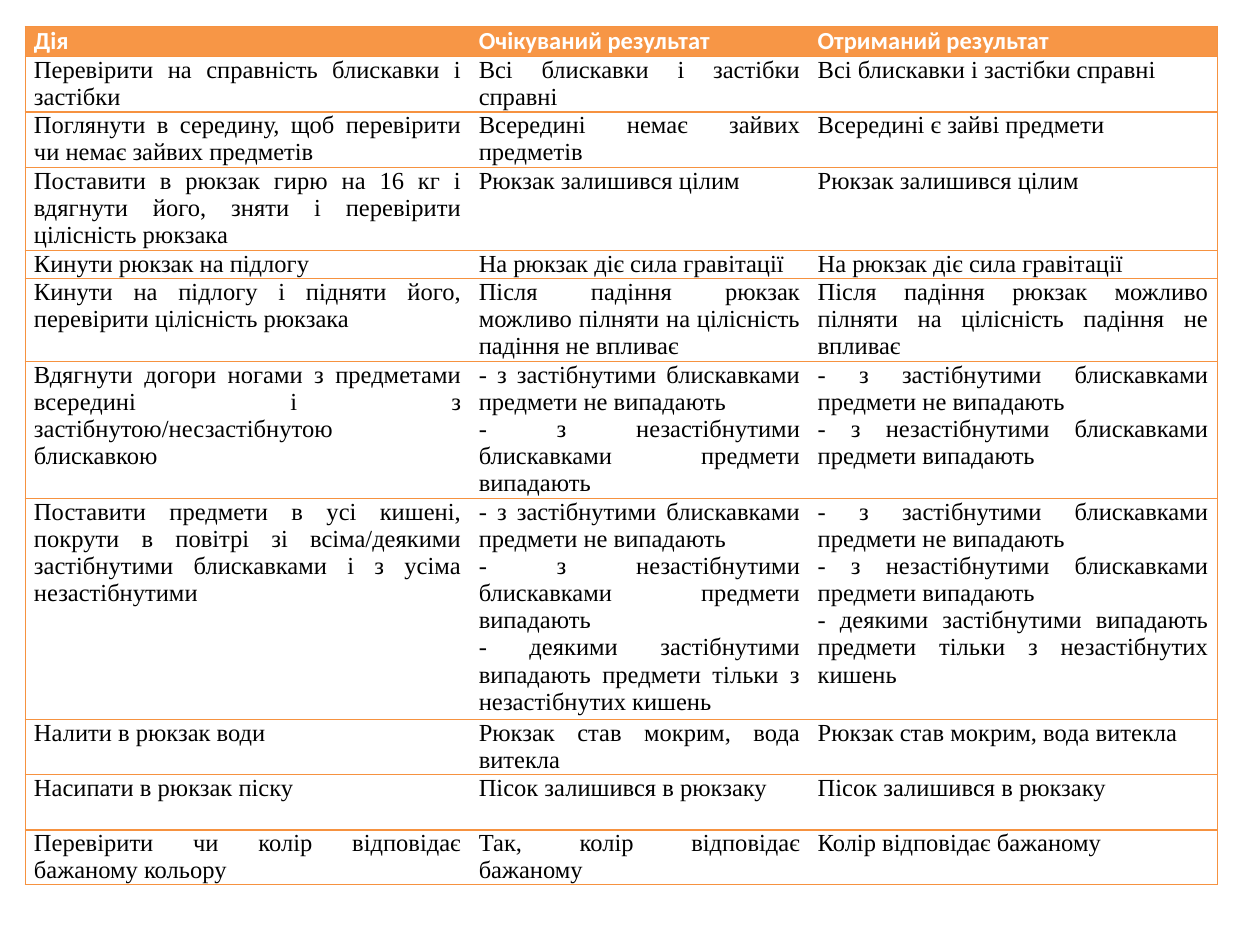
from dataclasses import dataclass

import pptx
import pptx.dml.color
import pptx.enum.text
import pptx.oxml
import pptx.oxml.ns
import pptx.util
from pptx.util import Inches

ORANGE = "F79646"
BORDER = "F69240"
WHITE = "FFFFFF"
BLACK = "000000"
COLUMN_WIDTHS = (3.53, 2.69, 3.24)
CLOSED = "- з застібнутими блискавками предмети не випадають"
OPEN = "- з незастібнутими блискавками предмети випадають"
PARTLY = "- деякими застібнутими випадають предмети тільки з незастібнутих кишень"


@dataclass
class Check:
    height: float
    action: str
    expected: str
    actual: str


def same(height: float, action: str, result: str) -> Check:
    return Check(height, action, result, result)


HEADINGS = Check(0.24, "Дія", "Очікуваний результат", "Отриманий результат")
CHECKS = [
    same(0.44, "Перевірити на справність блискавки і застібки",
         "Всі блискавки і застібки справні"),
    Check(0.44, "Поглянути в середину, щоб перевірити чи немає зайвих предметів",
          "Всередині немає зайвих предметів", "Всередині є зайві предмети"),
    same(0.66, "Поставити в рюкзак гирю на 16 кг і вдягнути його, зняти "
         "і перевірити цілісність рюкзака", "Рюкзак залишився цілим"),
    same(0.22, "Кинути рюкзак на підлогу", "На рюкзак діє сила гравітації"),
    same(0.66, "Кинути на підлогу і підняти його, перевірити цілісність рюкзака",
         "Після падіння рюкзак можливо пілняти на цілісність падіння не впливає"),
    same(1.09, "Вдягнути догори ногами з предметами всередині і з "
         "застібнутою/несзастібнутою блискавкою", "\n".join((CLOSED, OPEN))),
    same(1.75, "Поставити предмети в усі кишені, покрути в повітрі зі всіма/деякими "
         "застібнутими блискавками і з усіма незастібнутими",
         "\n".join((CLOSED, OPEN, PARTLY))),
    same(0.44, "Налити в рюкзак води", "Рюкзак став мокрим, вода витекла"),
    same(0.44, "Насипати в рюкзак піску", "Пісок залишився в рюкзаку"),
    Check(0.43, "Перевірити чи колір відповідає бажаному кольору",
          "Так, колір відповідає бажаному", "Колір відповідає бажаному"),
]


def color(value: str) -> pptx.dml.color.RGBColor:
    return pptx.dml.color.RGBColor.from_string(value)


def add_borders(cell, left: bool, right: bool) -> None:
    properties = cell._tc.get_or_add_tcPr()
    for side, visible in (("L", left), ("R", right), ("T", True), ("B", True)):
        paint = (f'<a:solidFill><a:srgbClr val="{BORDER}"/></a:solidFill>'
                 if visible else "<a:noFill/>")
        properties.append(pptx.oxml.parse_xml(
            f'<a:ln{side} {pptx.oxml.ns.nsdecls("a")} w="{pptx.util.Pt(0.75)}">'
            f"{paint}</a:ln{side}>"))


def fill_cell(cell, text: str, heading: bool) -> None:
    cell.margin_left = cell.margin_right = Inches(0.07)
    cell.margin_top = cell.margin_bottom = 0
    if heading:
        cell.fill.solid()
        cell.fill.fore_color.rgb = color(ORANGE)
    else:
        cell.fill.background()
    cell.text_frame.text = text
    for paragraph in cell.text_frame.paragraphs:
        paragraph.alignment = pptx.enum.text.PP_ALIGN.JUSTIFY
        paragraph.font.name = "Calibri" if heading else "Times New Roman"
        paragraph.font.size = pptx.util.Pt(14)
        paragraph.font.bold = heading
        paragraph.font.color.rgb = color(WHITE if heading else BLACK)


def add_checklist(slide, checks: list[Check]) -> None:
    last = len(COLUMN_WIDTHS) - 1
    checklist = slide.shapes.add_table(
        len(checks), len(COLUMN_WIDTHS), Inches(0.2), Inches(0.21),
        Inches(sum(COLUMN_WIDTHS)), Inches(sum(check.height for check in checks))).table
    checklist.horz_banding = False
    checklist.first_row = False
    for column, width in zip(checklist.columns, COLUMN_WIDTHS):
        column.width = Inches(width)
    for row, check in enumerate(checks):
        checklist.rows[row].height = Inches(check.height)
        for column, text in enumerate((check.action, check.expected, check.actual)):
            cell = checklist.cell(row, column)
            add_borders(cell, column == 0, column == last)
            fill_cell(cell, text, row == 0)


def main() -> None:
    presentation = pptx.Presentation()
    presentation.slide_width = Inches(10)
    presentation.slide_height = Inches(7.5)
    slide = presentation.slides.add_slide(presentation.slide_layouts[6])
    add_checklist(slide, [HEADINGS, *CHECKS])
    presentation.save("out.pptx")


if __name__ == "__main__":
    main()
